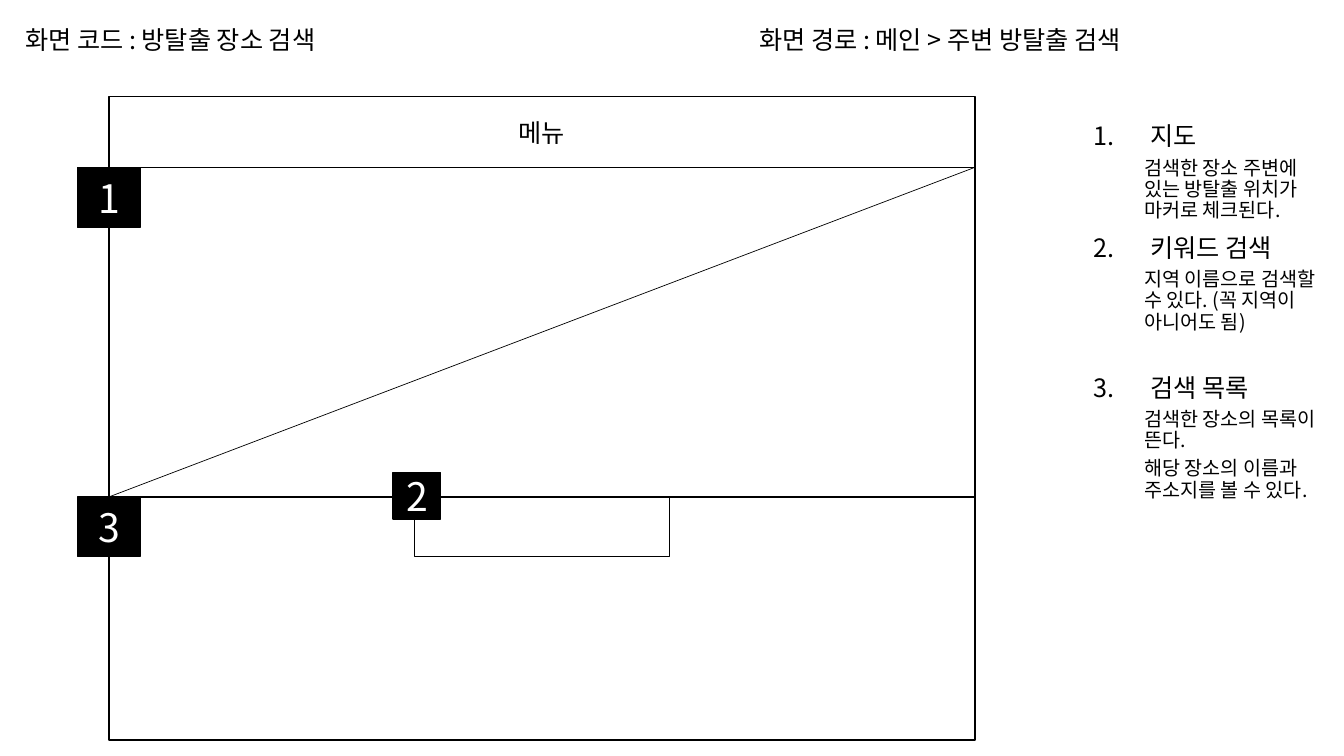
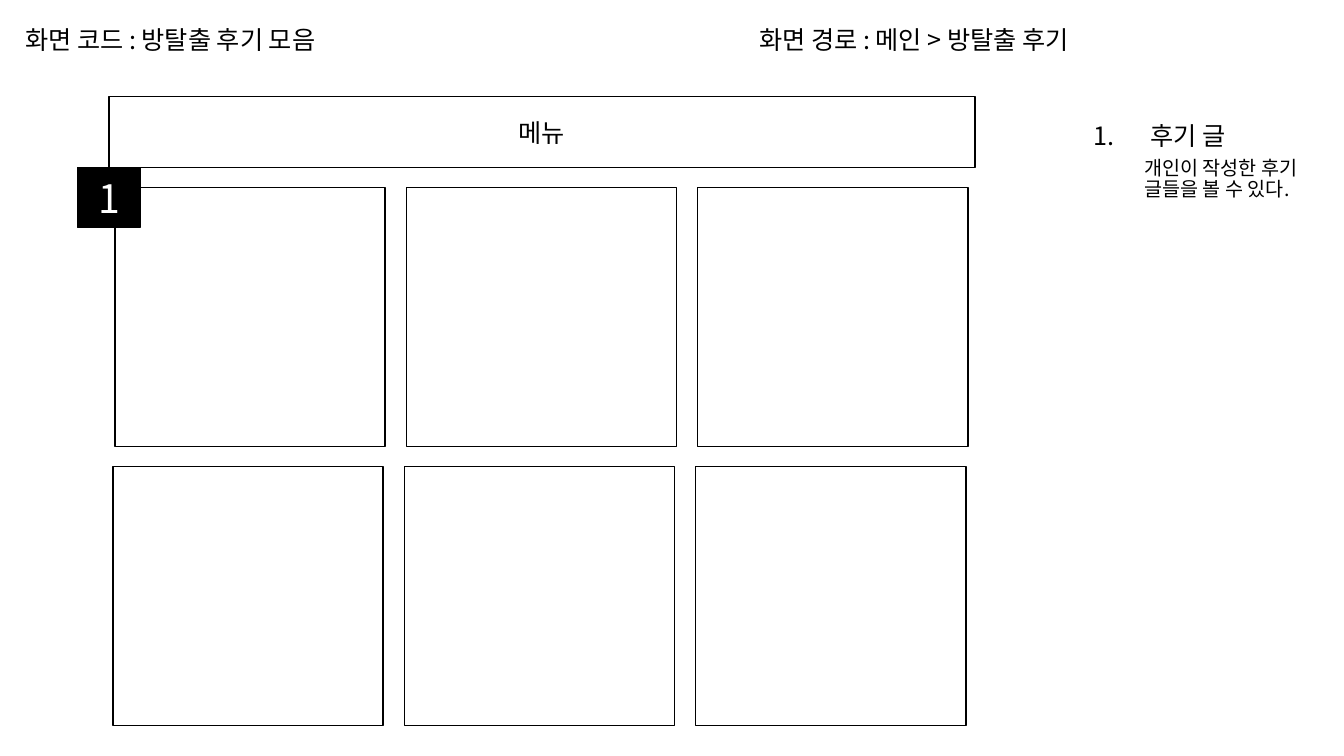
from dataclasses import dataclass
from itertools import product

from lxml.etree import SubElement
from pptx import Presentation
from pptx.dml.color import RGBColor
from pptx.enum.shapes import MSO_CONNECTOR as Connector, MSO_SHAPE as ShapeKind
from pptx.enum.text import MSO_ANCHOR as Anchor, PP_ALIGN as Align
from pptx.oxml.ns import qn
from pptx.slide import Slide
from pptx.text.text import _Paragraph as Paragraph
from pptx.util import Inches, Pt


@dataclass(frozen=True)
class Theme:
    font: str = "Noto Sans CJK KR"
    ink: RGBColor = RGBColor(0, 0, 0)
    paper: RGBColor = RGBColor(255, 255, 255)
    heading: int = 18
    detail: int = 14
    badge: int = 28
    outline: float = 1
    diagonal: float = 0.5
    line_spacing: float = 0.9


@dataclass(frozen=True)
class Box:
    left: float
    top: float
    width: float
    height: float

    def lengths(self) -> tuple[int, ...]:
        return tuple(Inches(value) for value in (self.left, self.top, self.width, self.height))


@dataclass(frozen=True)
class Badge:
    number: int
    box: Box


@dataclass(frozen=True)
class Note:
    heading: str
    details: tuple[str, ...]
    space_before: float = 10


@dataclass(frozen=True)
class Screen:
    code: str
    route: str
    notes: tuple[Note, ...]
    panels: tuple[Box, ...]
    badges: tuple[Badge, ...]
    diagonal: Box | None = None


THEME = Theme()
CODE_BOX = Box(0.15, 0.16, 5.75, 0.49)
ROUTE_BOX = Box(7.43, 0.16, 5.75, 0.49)
NOTES_BOX = Box(10.75, 1.18, 2.5, 6.16)
MENU_BOX = Box(1.08, 0.96, 8.59, 0.7)
MAP_BOX = Box(1.08, 1.66, 8.59, 3.27)
LIST_BOX = Box(1.08, 4.93, 8.59, 2.41)
SEARCH_BOX = Box(4.11, 4.93, 2.53, 0.59)
MAP_BADGE = Badge(1, Box(0.77, 1.66, 0.62, 0.6))
SEARCH_BADGE = Badge(2, Box(3.9, 4.69, 0.47, 0.46))
LIST_BADGE = Badge(3, Box(0.77, 4.93, 0.62, 0.59))
REVIEW_CARDS = tuple(
    Box(1.14 + 2.89 * column - 0.02 * row, 1.86 + 2.77 * row, 2.68, 2.57)
    for row, column in product(range(2), range(3))
)

SCREENS = (
    Screen(
        code="방탈출 장소 검색",
        route="주변 방탈출 검색",
        notes=(
            Note("지도", ("검색한 장소 주변에 있는 방탈출 위치가 마커로 체크된다.",)),
            Note("키워드 검색", ("지역 이름으로 검색할 수 있다. (꼭 지역이 아니어도 됨)",)),
            Note(
                "검색 목록",
                ("검색한 장소의 목록이 뜬다.", "해당 장소의 이름과 주소지를 볼 수 있다."),
                space_before=30,
            ),
        ),
        panels=(MAP_BOX, LIST_BOX, SEARCH_BOX),
        badges=(MAP_BADGE, LIST_BADGE, SEARCH_BADGE),
        diagonal=MAP_BOX,
    ),
    Screen(
        code="방탈출 후기 모음",
        route="방탈출 후기",
        notes=(Note("후기 글", ("개인이 작성한 후기 글들을 볼 수 있다.",)),),
        panels=REVIEW_CARDS,
        badges=(MAP_BADGE,),
    ),
)


def write(paragraph: Paragraph, text: str, size: float, color: RGBColor = THEME.ink) -> None:
    paragraph.text = text
    font = paragraph.font
    font.size = Pt(size)
    font.color.rgb = color
    font.name = THEME.font
    defaults = paragraph._p.pPr.find(qn("a:defRPr"))
    SubElement(defaults, qn("a:ea")).set("typeface", THEME.font)


def indent(paragraph: Paragraph, margin: float, first_line: float) -> None:
    properties = paragraph._p.get_or_add_pPr()
    properties.set("marL", str(Inches(margin)))
    properties.set("indent", str(Inches(first_line)))


def number(paragraph: Paragraph) -> None:
    properties = paragraph._p.get_or_add_pPr()
    SubElement(properties, qn("a:buAutoNum")).set("type", "arabicPeriod")


def draw_panel(
    slide: Slide,
    box: Box,
    text: str = "",
    size: float = THEME.heading,
    fill: RGBColor = THEME.paper,
    color: RGBColor = THEME.ink,
) -> None:
    shape = slide.shapes.add_shape(ShapeKind.RECTANGLE, *box.lengths())
    shape.shadow.inherit = False
    shape.fill.solid()
    shape.fill.fore_color.rgb = fill
    shape.line.color.rgb = THEME.ink
    shape.line.width = Pt(THEME.outline)
    if text:
        shape.text_frame.vertical_anchor = Anchor.MIDDLE
        paragraph = shape.text_frame.paragraphs[0]
        paragraph.alignment = Align.CENTER
        write(paragraph, text, size, color)


def draw_header(slide: Slide, box: Box, text: str) -> None:
    frame = slide.shapes.add_textbox(*box.lengths()).text_frame
    frame.word_wrap = True
    frame.vertical_anchor = Anchor.MIDDLE
    paragraph = frame.paragraphs[0]
    paragraph.line_spacing = THEME.line_spacing
    write(paragraph, text, THEME.heading)


def draw_notes(slide: Slide, notes: tuple[Note, ...]) -> None:
    frame = slide.shapes.add_textbox(*NOTES_BOX.lengths()).text_frame
    frame.word_wrap = True
    for position, note in enumerate(notes):
        heading = frame.add_paragraph() if position else frame.paragraphs[0]
        heading.line_spacing = THEME.line_spacing
        heading.space_before = Pt(note.space_before)
        indent(heading, 0.56, -0.56)
        number(heading)
        write(heading, note.heading, THEME.heading)
        for text in note.details:
            detail = frame.add_paragraph()
            detail.level = 1
            detail.line_spacing = THEME.line_spacing
            detail.space_before = Pt(5)
            indent(detail, 0.5, 0)
            write(detail, text, THEME.detail)


def draw_diagonal(slide: Slide, box: Box) -> None:
    left, top, width, height = box.lengths()
    line = slide.shapes.add_connector(
        Connector.STRAIGHT, left + width, top, left, top + height
    )
    line.line.color.rgb = THEME.ink
    line.line.width = Pt(THEME.diagonal)
    SubElement(line._element.spPr, qn("a:effectLst"))


def draw_screen(slide: Slide, screen: Screen) -> None:
    draw_header(slide, CODE_BOX, f"화면 코드 : {screen.code}")
    draw_header(slide, ROUTE_BOX, f"화면 경로 : 메인 > {screen.route}")
    draw_notes(slide, screen.notes)
    draw_panel(slide, MENU_BOX, "메뉴")
    for panel in screen.panels:
        draw_panel(slide, panel)
    if screen.diagonal:
        draw_diagonal(slide, screen.diagonal)
    for badge in screen.badges:
        draw_panel(slide, badge.box, str(badge.number), THEME.badge, THEME.ink, THEME.paper)


def main() -> None:
    presentation = Presentation()
    presentation.slide_width = Inches(13.33)
    presentation.slide_height = Inches(7.5)
    blank = presentation.slide_layouts[6]
    for screen in SCREENS:
        draw_screen(presentation.slides.add_slide(blank), screen)
    presentation.save("out.pptx")


main()
